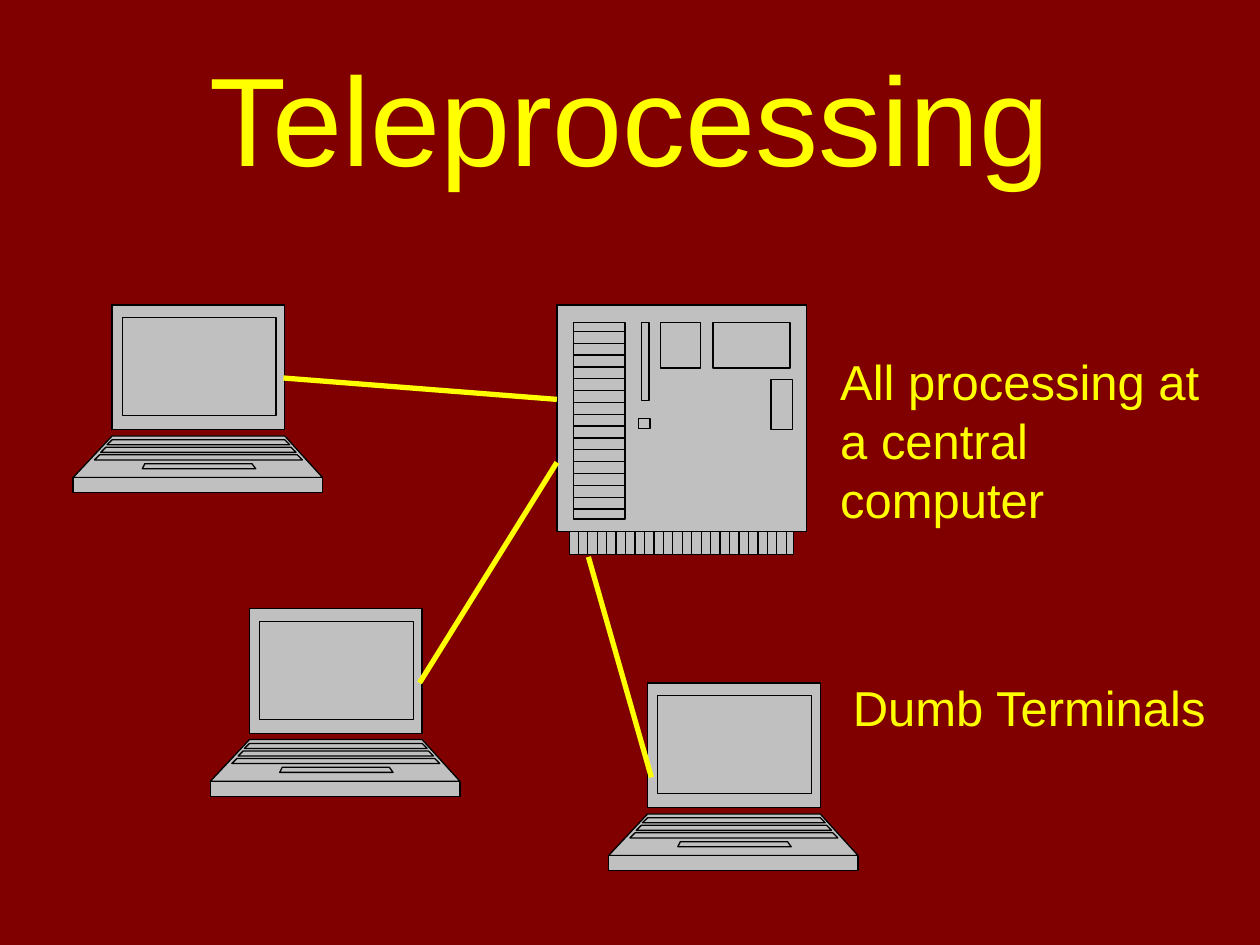
import copy
import pptx
import pptx.util
import pptx.dml.color
import pptx.enum.shapes
import pptx.enum.text
import pptx.oxml.ns
import lxml.etree

COLORS = {"background": "800000", "accent": "FFFF00", "machine": "C0C0C0", "outline": "000000"}
RGB = {name: pptx.dml.color.RGBColor.from_string(code) for name, code in COLORS.items()}

deck = pptx.Presentation()
deck.slide_width = pptx.util.Inches(10)
deck.slide_height = pptx.util.Inches(7.5)
column = deck.slide_width / 10
row = deck.slide_height / 7.5

page = deck.slides.add_slide(deck.slide_layouts[5])
page.background.fill.solid()
page.background.fill.fore_color.rgb = RGB["background"]


def trapezoid(top, bottom, top_left, top_right, bottom_left=None, bottom_right=None):
    bottom_left = top_left if bottom_left is None else bottom_left
    bottom_right = top_right if bottom_right is None else bottom_right
    return [(top_left, top), (top_right, top), (bottom_right, bottom), (bottom_left, bottom)]


def draw_machine(outlines, left=0, top=0):
    builder = None
    for outline in outlines:
        points = [((left + x) * column, (top + y) * row) for x, y in outline]
        if builder is None:
            builder = page.shapes.build_freeform(*points[0], scale=1.0)
        else:
            builder.move_to(*points[0])
        builder.add_line_segments(points[1:], close=True)
    machine = builder.convert_to_shape()
    machine.shadow.inherit = False
    machine.fill.solid()
    machine.fill.fore_color.rgb = RGB["machine"]
    machine.line.color.rgb = RGB["outline"]
    machine.line.width = pptx.util.Pt(0.75)
    combined = next(machine.element.iter(pptx.oxml.ns.qn("a:path")))
    path_list = combined.getparent()
    steps = list(combined)
    for step in steps:
        combined.remove(step)
    empty_path = copy.deepcopy(combined)
    path_list.remove(combined)
    for step in steps:
        if step.tag == pptx.oxml.ns.qn("a:moveTo"):
            separate = copy.deepcopy(empty_path)
            path_list.append(separate)
        separate.append(step)


title = page.shapes.title
title.left, title.top = int(0.5 * column), int(0.3 * row)
title.width, title.height = int(9 * column), int(1.25 * row)
title.text_frame.text = "Teleprocessing"
title.text_frame.vertical_anchor = pptx.enum.text.MSO_ANCHOR.MIDDLE
para = title.text_frame.paragraphs[0]
para.alignment = pptx.enum.text.PP_ALIGN.CENTER
para.font.name = "Arial"
para.font.size = pptx.util.Pt(72)
para.font.color.rgb = RGB["accent"]

body = [(6.4, 2.42), (4.42, 2.42), (4.42, 4.22), (4.52, 4.22),
        (4.52, 4.4), (6.3, 4.4), (6.3, 4.22), (6.4, 4.22)]
panels = [
    trapezoid(2.56, 4.12, 4.55, 4.96),
    trapezoid(2.56, 3.18, 5.09, 5.15),
    trapezoid(3.32, 3.4, 5.07, 5.16),
    trapezoid(2.56, 2.92, 5.24, 5.56),
    trapezoid(2.56, 2.92, 5.66, 6.27),
    trapezoid(3.01, 3.41, 6.12, 6.29),
]
slots = [[(4.55, 2.63 + 1.41 * index / 15), (4.96, 2.63 + 1.41 * index / 15)] for index in range(16)]
pins = [[(4.59 + 1.65 * index / 22, 4.22), (4.59 + 1.65 * index / 22, 4.4)] for index in range(23)]
connector_edge = [(4.52, 4.22), (6.3, 4.22)]
draw_machine([body, connector_edge] + panels + slots + pins)

laptop = [
    trapezoid(0, 0.99, 0.31, 1.68),
    trapezoid(1.04, 1.37, 0.31, 1.68, 0, 1.98),
    trapezoid(1.37, 1.49, 0, 1.98),
    trapezoid(0.1, 0.88, 0.39, 1.61),
    trapezoid(1.26, 1.3, 0.57, 1.42, 0.55, 1.45),
]
for key_row in range(3):
    spread = 0.05 * key_row
    key_top = 1.07 + 0.06 * key_row
    laptop.append(trapezoid(key_top, key_top + 0.04, 0.31 - spread, 1.68 + spread,
                            0.27 - spread, 1.72 + spread))
for left, top in [(0.58, 2.42), (1.67, 4.83), (4.83, 5.42)]:
    draw_machine(laptop, left, top)

cables = [(4.42, 3.17, 2.25, 3), (4.42, 3.67, 3.33, 5.42), (4.67, 4.42, 5.17, 6.17)]
for start_x, start_y, end_x, end_y in cables:
    cable = page.shapes.add_connector(
        pptx.enum.shapes.MSO_CONNECTOR.STRAIGHT,
        int(start_x * column), int(start_y * row), int(end_x * column), int(end_y * row))
    cable.line.color.rgb = RGB["accent"]
    cable.line.width = pptx.util.Pt(3)
    lxml.etree.SubElement(cable.element.spPr, pptx.oxml.ns.qn("a:effectLst"))

labels = [
    (6.57, 2.74, 3.41, 1.04, ["All processing at", "a central computer"]),
    (6.67, 5.33, 3.05, 0.57, ["Dumb Terminals"]),
]
for left, top, width, height, lines in labels:
    box = page.shapes.add_textbox(int(left * column), int(top * row), int(width * column), int(height * row))
    box.text_frame.text = "\n".join(lines)
    box.text_frame.word_wrap = False
    box.text_frame.auto_size = pptx.enum.text.MSO_AUTO_SIZE.SHAPE_TO_FIT_TEXT
    for para in box.text_frame.paragraphs:
        para.font.name = "Arial"
        para.font.size = pptx.util.Pt(28)
        para.font.color.rgb = RGB["accent"]

deck.save("out.pptx")
